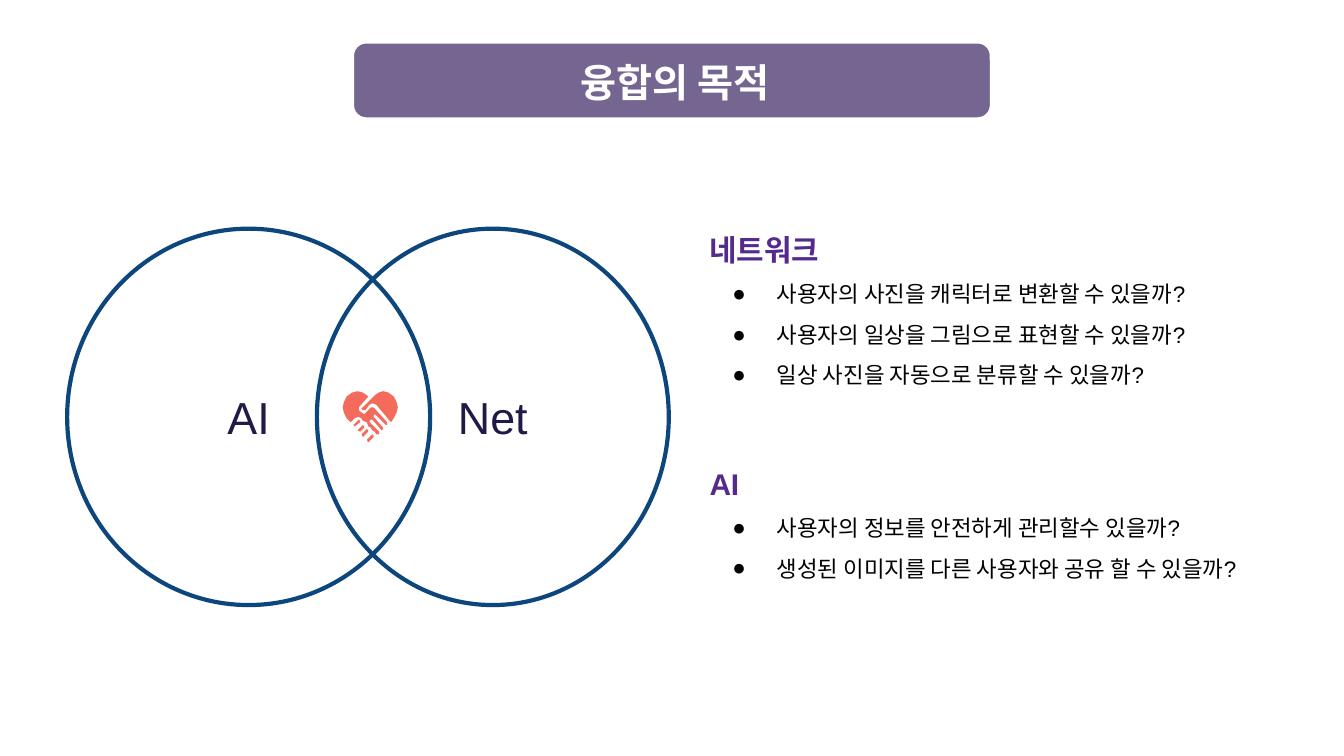
from lxml import etree
from pptx import Presentation
from pptx import util as u
from pptx.dml.color import RGBColor
from pptx.enum import shapes, text
from pptx.oxml.ns import qn

COLORS = {
    "bar": "756591", "white": "FFFFFF", "black": "000000", "heading": "542B8C",
    "ring": "0C467C", "ring_label": "211A46", "heart": "F46B5C",
}
FONT = "Arial"
INSET = u.Cm(0.25)

LEFT_HAND = [
    (12, 0), (8, 1), (4, 4), (2, 8), (1, 12), (2, 16), (4, 20), (7, 23), (10, 20),
    (13, 19), (15, 20), (16, 22), (19, 23), (20, 26), (22, 27), (23, 29), (25, 30),
    (26, 32), (28, 32), (28, 30), (21, 23), (21, 22), (22, 21), (23, 21), (30, 29),
    (31, 28), (31, 27), (24, 19), (24, 18), (25, 17), (26, 18), (33, 25), (34, 25),
    (34, 23), (24, 12), (22, 12), (19, 15), (17, 17), (14, 15), (13, 14), (13, 12),
    (20, 4), (19, 3), (16, 1),
]
RIGHT_HAND = [
    (31, 0), (28, 1), (25, 3), (15, 13), (16, 14), (18, 14), (21, 10), (23, 9),
    (26, 10), (36, 22), (37, 23), (39, 20), (41, 16), (42, 12), (41, 8), (39, 4), (35, 1),
]
FINGER = [(4, 0), (3, 1), (0, 4), (1.5, 5.5), (5, 2), (5, 1)]
FINGER_ORIGINS = [(9, 21), (12, 25), (15, 28), (19, 32)]


def color(name):
    return RGBColor.from_string(COLORS[name])


def cm_box(*lengths):
    return [u.Cm(length) for length in lengths]


def add_run(paragraph, wording, size, shade, bold=False):
    run = paragraph.add_run()
    run.text = wording
    run.font.name = FONT
    run.font.size = u.Pt(size)
    run.font.bold = bold
    run.font.color.rgb = color(shade)


def prepare_frame(frame, anchor):
    frame.word_wrap = True
    frame.auto_size = text.MSO_AUTO_SIZE.NONE
    frame.vertical_anchor = anchor
    frame.margin_left = frame.margin_right = INSET
    frame.margin_top = frame.margin_bottom = INSET


def add_bullet(paragraph):
    properties = paragraph._p.get_or_add_pPr()
    properties.set("marL", str(u.Cm(1.27)))
    properties.set("indent", str(-u.Cm(0.84)))
    bullet_color = etree.SubElement(properties, qn("a:buClr"))
    etree.SubElement(bullet_color, qn("a:srgbClr"), val=COLORS["black"])
    etree.SubElement(properties, qn("a:buFont"), typeface=FONT)
    etree.SubElement(properties, qn("a:buChar"), char="●")


def place_title(slide, wording, box):
    left, top, width, height = box
    bar = slide.shapes.add_shape(shapes.MSO_SHAPE.ROUNDED_RECTANGLE, *box)
    bar.adjustments[0] = 0.17
    bar.shadow.inherit = False
    bar.fill.solid()
    bar.fill.fore_color.rgb = color("bar")
    bar.line.color.rgb = color("white")
    bar.line.width = u.Pt(0.75)

    title = slide.shapes.title
    title.left, title.top = left + u.Cm(0.66), top + u.Cm(0.03)
    title.width, title.height = width - u.Cm(1.22), height
    bar._element.addnext(title._element)
    prepare_frame(title.text_frame, text.MSO_ANCHOR.MIDDLE)
    paragraph = title.text_frame.paragraphs[0]
    paragraph.alignment = text.PP_ALIGN.CENTER
    add_run(paragraph, wording, 21, "white", bold=True)


def place_ring(slide, label, box):
    ring = slide.shapes.add_shape(shapes.MSO_SHAPE.OVAL, *box)
    ring.shadow.inherit = False
    ring.fill.background()
    ring.line.color.rgb = color("ring")
    ring.line.width = u.Pt(2.25)
    prepare_frame(ring.text_frame, text.MSO_ANCHOR.MIDDLE)
    paragraph = ring.text_frame.paragraphs[0]
    paragraph.alignment = text.PP_ALIGN.CENTER
    add_run(paragraph, label, 24, "ring_label")


def place_handshake(slide, box):
    left, top, width, height = box
    unit = width / 42
    fingers = [[(x + dx, y + dy) for dx, dy in FINGER] for x, y in FINGER_ORIGINS]
    for outline in [LEFT_HAND, RIGHT_HAND, *fingers]:
        builder = slide.shapes.build_freeform(*outline[0], scale=unit)
        builder.add_line_segments(outline[1:], close=True)
        part = builder.convert_to_shape(left, top)
        part.shadow.inherit = False
        part.fill.solid()
        part.fill.fore_color.rgb = color("heart")
        part.line.fill.background()


def place_questions(slide, heading, questions, box):
    frame = slide.shapes.add_textbox(*box).text_frame
    prepare_frame(frame, text.MSO_ANCHOR.TOP)
    paragraph = frame.paragraphs[0]
    paragraph.line_spacing = 1.5
    add_run(paragraph, heading, 16, "heading", bold=True)
    for question in questions:
        paragraph = frame.add_paragraph()
        add_bullet(paragraph)
        paragraph.line_spacing = 1.5
        add_run(paragraph, question, 12, "black")


def main():
    deck = Presentation()
    deck.slide_width, deck.slide_height = cm_box(25.4, 14.28)
    slide = deck.slides.add_slide(deck.slide_layouts[5])

    place_questions(slide, "네트워크", [
        "사용자의 사진을 캐릭터로 변환할 수 있을까?",
        "사용자의 일상을 그림으로 표현할 수 있을까?",
        "일상 사진을 자동으로 분류할 수 있을까?",
    ], cm_box(13.16, 3.78, 12.2, 3.58))
    place_questions(slide, "AI", [
        "사용자의 정보를 안전하게 관리할수 있을까?",
        "생성된 이미지를 다른 사용자와 공유 할 수 있을까?",
    ], cm_box(13.16, 8.2, 12.2, 2.82))
    place_ring(slide, "AI", cm_box(1.27, 4.32, 6.86, 7.11))
    place_ring(slide, "Net", cm_box(5.99, 4.32, 6.65, 7.11))
    place_handshake(slide, cm_box(6.45, 7.39, 1.07, 0.94))
    place_title(slide, "융합의 목적", cm_box(6.68, 0.81, 12.04, 1.42))
    deck.save("out.pptx")


if __name__ == "__main__":
    main()
